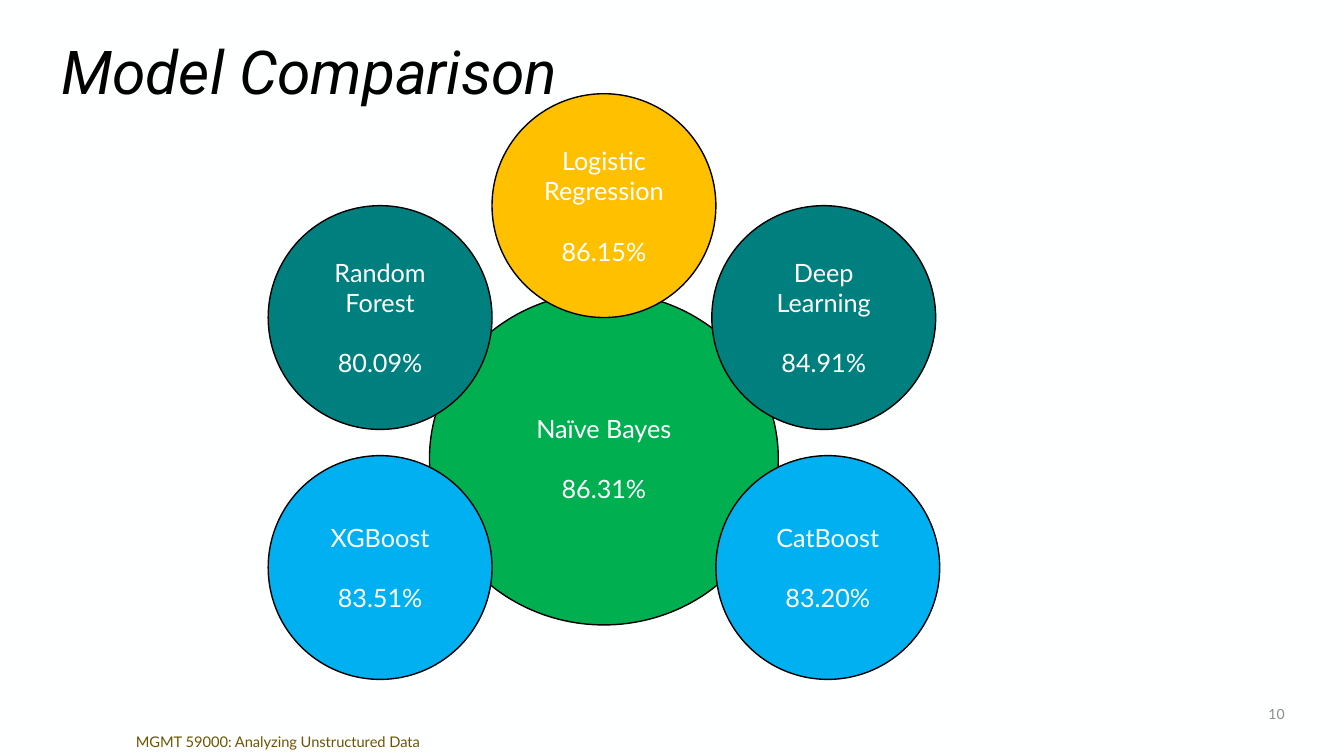
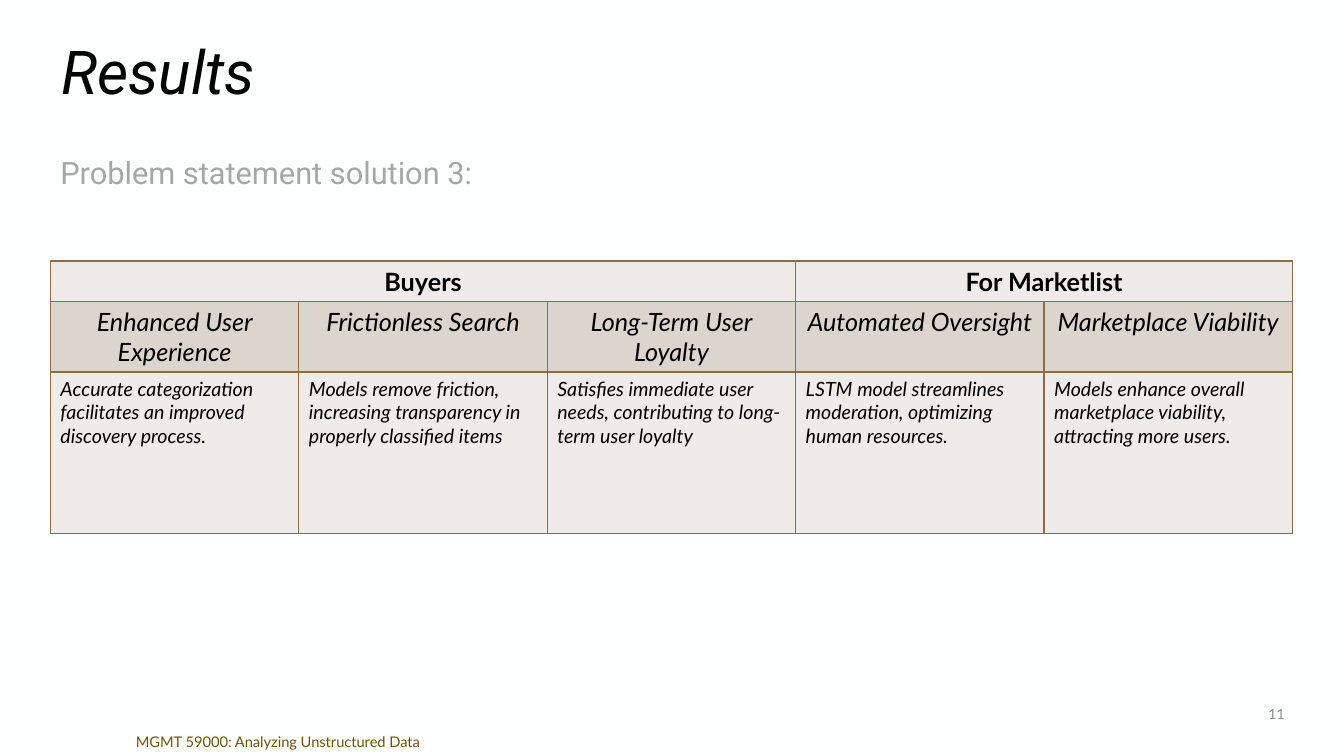
"""Build the model comparison and results slides."""
from lxml.etree import SubElement
from pptx import Presentation
from pptx.dml.color import RGBColor
from pptx.enum.shapes import MSO_SHAPE as Preset
from pptx.enum.text import MSO_ANCHOR as Anchor, PP_ALIGN as Align
from pptx.oxml.ns import qn
from pptx.util import Inches, Pt

COLOURS = {
    "background": "FEFFFF", "black": "000000", "number": "8C8C8C", "footer": "6D5500",
    "subtitle": "A6A6A6", "green": "00B050", "blue": "00B0F0", "teal": "007F7F",
    "amber": "FFC000", "border": "8D6F3D", "pale": "EEEBE8", "beige": "DBD5CE",
}
RGB = {name: RGBColor.from_string(value) for name, value in COLOURS.items()}


def write(paragraph, text, size, colour, font="Lato", align=Align.LEFT, bold=False, italic=False):
    paragraph.alignment = align
    run = paragraph.add_run()
    run.text = text
    run.font.name = font
    run.font.size = Pt(size)
    run.font.color.rgb = RGB[colour]
    run.font.bold = bold
    run.font.italic = italic


def add_text(slide, box, text, size, colour, anchor=Anchor.TOP, spacing=1.0, **style):
    frame = slide.shapes.add_textbox(*map(Inches, box)).text_frame
    frame.word_wrap = True
    frame.vertical_anchor = anchor
    paragraph = frame.paragraphs[0]
    paragraph.line_spacing = spacing
    write(paragraph, text, size, colour, **style)


deck = Presentation()
deck.slide_width = Inches(13.33)
deck.slide_height = Inches(7.5)

slides = []
for number, title in enumerate(["Model Comparison", "Results"], start=10):
    slide = deck.slides.add_slide(deck.slide_layouts[6])
    slide.background.fill.solid()
    slide.background.fill.fore_color.rgb = RGB["background"]
    add_text(slide, (0.51, 0.42, 12.32, 0.64), title, 43.2, "black", Anchor.MIDDLE, 0.9,
             font="Roboto", italic=True)
    add_text(slide, (11.84, 6.91, 1, 0.35), str(number), 10, "number", Anchor.MIDDLE,
             align=Align.RIGHT)
    add_text(slide, (1.25, 7.22, 5.41, 0.28), "MGMT 59000: Analyzing Unstructured Data",
             10.5, "footer")
    slides.append(slide)
comparison, results = slides

OUTER = (2.22, 2.22)
models = [
    ("Naïve Bayes", "86.31%", "green", (4.26, 2.9), (3.46, 3.3)),
    ("CatBoost", "83.20%", "blue", (7.1, 4.52), OUTER),
    ("Deep Learning", "84.91%", "teal", (7.06, 2.04), OUTER),
    ("Logistic Regression", "86.15%", "amber", (4.88, 0.93), OUTER),
    ("Random Forest", "80.09%", "teal", (2.66, 2.04), OUTER),
    ("XGBoost", "83.51%", "blue", (2.66, 4.52), OUTER),
]
for model, accuracy, colour, corner, size in models:
    circle = comparison.shapes.add_shape(Preset.FLOWCHART_CONNECTOR, *map(Inches, corner + size))
    circle.shadow.inherit = False
    circle.fill.solid()
    circle.fill.fore_color.rgb = RGB[colour]
    circle.line.color.rgb = RGB["black"]
    circle.line.width = Pt(1)
    frame = circle.text_frame
    frame.word_wrap = True
    frame.vertical_anchor = Anchor.MIDDLE
    write(frame.paragraphs[0], model, 18, "background", align=Align.CENTER)
    score = frame.add_paragraph()
    score.space_before = Pt(21.6)
    write(score, accuracy, 18, "background", align=Align.CENTER)

add_text(results, (0.5, 1.52, 12.33, 0.4), "Problem statement solution 3:", 22, "subtitle",
         spacing=0.9, font="Roboto")

benefit_rows = [
    (0.4, "pale", dict(size=18, align=Align.CENTER, bold=True),
     ["Buyers", "", "", "For Marketlist", ""]),
    (0.7, "beige", dict(size=18, align=Align.CENTER, italic=True),
     ["Enhanced User Experience", "Frictionless Search", "Long-Term User Loyalty",
      "Automated Oversight", "Marketplace Viability"]),
    (1.6, "pale", dict(size=14, italic=True),
     ["Accurate categorization facilitates an improved discovery process.",
      "Models remove friction, increasing transparency in properly classified items",
      "Satisfies immediate user needs, contributing to long-term user loyalty",
      "LSTM model streamlines moderation, optimizing human resources.",
      "Models enhance overall marketplace viability, attracting more users."]),
]
benefits = results.shapes.add_table(
    3, 5, Inches(0.5), Inches(2.59), Inches(12.32), Inches(2.7)).table
for row, (height, shade, style, texts) in enumerate(benefit_rows):
    benefits.rows[row].height = Inches(height)
    for column, text in enumerate(texts):
        cell = benefits.cell(row, column)
        properties = cell._tc.get_or_add_tcPr()
        for side in ("a:lnL", "a:lnR", "a:lnT", "a:lnB"):
            edge = SubElement(properties, qn(side), w=str(Pt(1)))
            edge_fill = SubElement(edge, qn("a:solidFill"))
            SubElement(edge_fill, qn("a:srgbClr"), val=COLOURS["border"])
        cell.fill.solid()
        cell.fill.fore_color.rgb = RGB[shade]
        if text:
            write(cell.text_frame.paragraphs[0], text, colour="black", **style)
for first, last in [(0, 2), (3, 4)]:
    benefits.cell(0, first).merge(benefits.cell(0, last))

deck.save("out.pptx")
